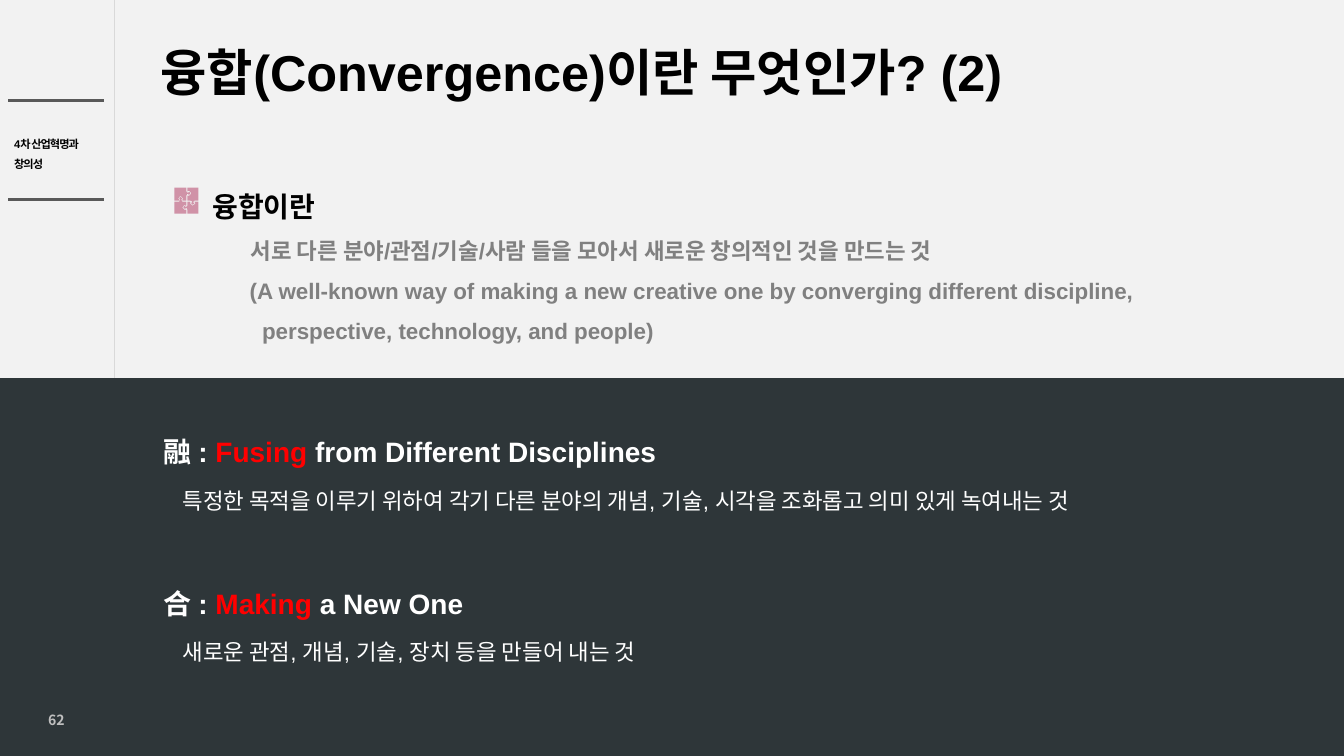
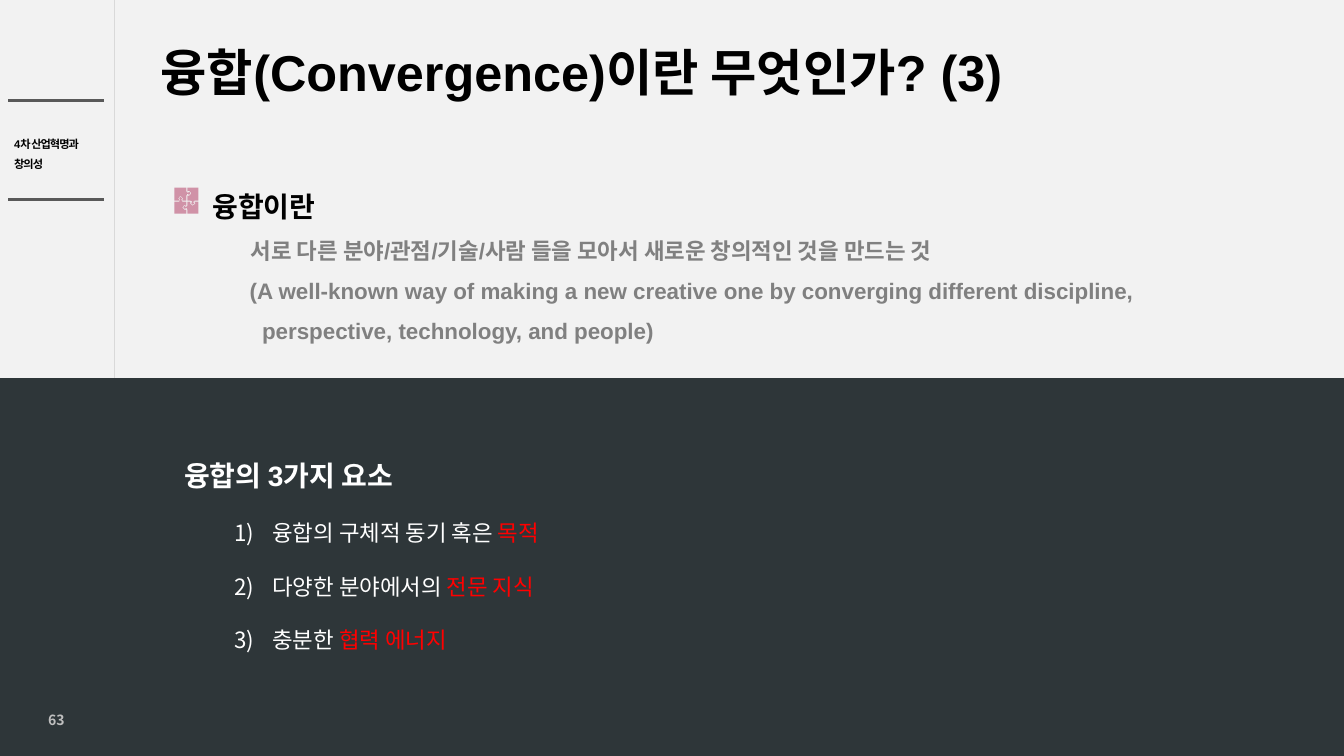
from dataclasses import dataclass

from lxml import etree
from pptx import Presentation
from pptx.dml.color import RGBColor
from pptx.enum.shapes import MSO_CONNECTOR as Connector, MSO_SHAPE as Preset
from pptx.enum.text import MSO_ANCHOR as Anchor, MSO_AUTO_SIZE as AutoSize, PP_ALIGN as Align
from pptx.oxml.ns import qn
from pptx.util import Pt


@dataclass(frozen=True)
class Theme:
    """Colours, fonts and type sizes of the deck."""
    paper: str = "F2F2F2"
    panel: str = "2E3639"
    ink: str = "000000"
    white: str = "FFFFFF"
    accent: str = "FF0000"
    muted: str = "808080"
    number: str = "BFBFBF"
    rule: str = "595959"
    hairline: str = "D9D9D9"
    puzzle: str = "D092A7"
    latin: str = "Arial"
    korean: str = "Noto Sans CJK KR"
    title: int = 36
    heading: int = 20
    body: int = 16
    page: int = 10
    label: int = 8


THEME = Theme()
WIDTH, HEIGHT = 960, 540
PANEL_TOP = HEIGHT / 2

PUZZLE_PIECES = (
    ((13, 0), (24, 0), (24, 13), (20, 13), (19, 14), (19, 15), (20, 16), (18, 17), (17, 16),
     (17, 15), (18, 14), (16, 13), (13, 13), (13, 8), (15, 8), (17, 6), (15, 3), (13, 4)),
    ((5, 13), (5, 12), (4, 11), (6, 8), (9, 11), (8, 12), (8, 13), (12, 13), (12, 8), (13, 6),
     (14, 7), (15, 7), (16, 6), (15, 4), (14, 5), (13, 5), (12, 4), (12, 0), (0, 0), (0, 13)),
    ((12, 22), (10, 22), (8, 20), (10, 17), (11, 18), (12, 18), (12, 14), (8, 14), (7, 12),
     (8, 11), (6, 9), (5, 11), (6, 12), (5, 14), (0, 14), (0, 26), (12, 26)),
    ((20, 14), (21, 16), (18, 18), (16, 16), (16, 14), (13, 14), (13, 18), (12, 19), (11, 19),
     (10, 18), (9, 20), (10, 21), (11, 21), (12, 20), (13, 22), (13, 26), (24, 26), (24, 14)),
)


def color(value):
    """Turn a hex string into a colour."""
    return RGBColor.from_string(value)


def add_run(paragraph, text, size, fill, bold=True, latin=THEME.latin, tracking=None):
    """Append one formatted run to a paragraph."""
    run = paragraph.add_run()
    run.text = text
    font = run.font
    font.name, font.size, font.bold = latin, Pt(size), bold
    font.color.rgb = color(fill)
    properties = font._element
    east_asian = etree.Element(qn("a:ea"), typeface=THEME.korean)
    properties.find(qn("a:latin")).addnext(east_asian)
    if tracking is not None:
        properties.set("spc", str(round(tracking * 100)))


def add_paragraph(frame, *runs, size, fill=THEME.white, spacing=1, before=0, indent=0,
                  numbered=False, align=Align.LEFT, **run_format):
    """Write a paragraph from strings or (string, colour) pairs."""
    first = frame.paragraphs[0]
    paragraph = frame.add_paragraph() if first.runs else first
    paragraph.alignment = align
    paragraph.line_spacing = spacing
    paragraph.space_before = Pt(before)
    properties = paragraph._p.get_or_add_pPr()
    properties.set("marL", str(Pt(indent)))
    if numbered:
        paragraph.level = 1
        properties.set("indent", str(-Pt(27)))
        etree.SubElement(properties, qn("a:buFont"), typeface=THEME.korean)
        etree.SubElement(properties, qn("a:buAutoNum"), type="arabicParenR")
    for run in runs:
        text, run_fill = (run, fill) if isinstance(run, str) else run
        add_run(paragraph, text, size, run_fill, **run_format)


def add_text_box(slide, left, top, width, height, anchor=Anchor.TOP):
    """Add a wrapping text box and return its frame."""
    frame = slide.shapes.add_textbox(Pt(left), Pt(top), Pt(width), Pt(height)).text_frame
    frame.word_wrap = True
    frame.vertical_anchor = anchor
    return frame


def add_line(slide, start, end, fill, weight):
    """Draw a straight line without shadow."""
    line = slide.shapes.add_connector(Connector.STRAIGHT, *map(Pt, start + end))
    line.line.color.rgb = color(fill)
    line.line.width = Pt(weight)
    etree.SubElement(line._element.spPr, qn("a:effectLst"))


def paint(shape, fill):
    """Give a shape a plain fill with no outline or shadow."""
    shape.shadow.inherit = False
    shape.fill.solid()
    shape.fill.fore_color.rgb = color(fill)
    shape.line.fill.background()


def add_puzzle(slide, left, top):
    """Draw the four-piece puzzle marker."""
    first, *others = PUZZLE_PIECES
    builder = slide.shapes.build_freeform(*first[0], scale=Pt(0.72))
    builder.add_line_segments(first[1:])
    for piece in others:
        builder.move_to(*piece[0])
        builder.add_line_segments(piece[1:])
    paint(builder.convert_to_shape(Pt(left), Pt(top)), THEME.puzzle)


def add_title(slide, text):
    """Place and format the title placeholder."""
    title = slide.shapes.title
    title.left, title.top, title.width, title.height = map(Pt, (107.5, 21, 756.5, 60))
    frame = title.text_frame
    frame.auto_size = AutoSize.NONE
    frame.vertical_anchor = Anchor.MIDDLE
    add_paragraph(frame, text, size=THEME.title, fill=THEME.ink)


def add_frame(slide, number):
    """Draw the side label, rules, dark panel and page number."""
    label = add_text_box(slide, 3, 75, 75, 65, Anchor.MIDDLE)
    for text in ("4차 산업혁명과", "창의성"):
        add_paragraph(label, text, size=THEME.label, fill=THEME.ink, spacing=1.5,
                      align=Align.JUSTIFY, tracking=-0.7)
    add_line(slide, (82, 0), (82, HEIGHT), THEME.hairline, 0.75)
    for y in (72, 142.5):
        add_line(slide, (6, y), (74, y), THEME.rule, 2)
    panel = slide.shapes.add_shape(Preset.RECTANGLE, 0, Pt(PANEL_TOP), Pt(WIDTH), Pt(PANEL_TOP))
    paint(panel, THEME.panel)
    page = add_text_box(slide, 21.5, 500, 37.5, 28.5, Anchor.MIDDLE)
    add_paragraph(page, str(number), size=THEME.page, fill=THEME.number, align=Align.CENTER,
                  latin=THEME.korean)


def add_definition(slide):
    """Write the definition above the panel."""
    add_puzzle(slide, 124.5, 134)
    frame = add_text_box(slide, 144.5, 120, 774, 138)
    add_paragraph(frame, "융합이란", size=THEME.heading, fill=THEME.ink, spacing=1.5)
    lines = (
        ("서로 다른 분야/관점/기술/사람 들을 모아서 새로운 창의적인 것을 만드는 것", 27.5),
        ("(A well-known way of making a new creative one by converging different discipline,", 26.7),
        ("perspective, technology, and people)", 35.6),
    )
    for text, indent in lines:
        add_paragraph(frame, text, size=THEME.body, fill=THEME.muted, spacing=1.5, indent=indent)


def add_meanings(slide):
    """Explain the two characters of the term."""
    frame = add_text_box(slide, 110, 290, 800, 193)
    meanings = (
        ("融 : ", "Fusing", " from Different Disciplines",
         "특정한 목적을 이루기 위하여 각기 다른 분야의 개념, 기술, 시각을 조화롭고 의미 있게 녹여내는 것"),
        ("合 : ", "Making", " a New One", "새로운 관점, 개념, 기술, 장치 등을 만들어 내는 것"),
    )
    for index, (character, verb, rest, explanation) in enumerate(meanings):
        add_paragraph(frame, character, (verb, THEME.accent), rest, size=THEME.heading,
                      spacing=1.7, before=35 * index)
        add_paragraph(frame, explanation, size=THEME.body, spacing=1.7, indent=13.3, bold=False)


def add_elements(slide):
    """List the three elements of convergence."""
    frame = add_text_box(slide, 124.5, 300, 775, 172)
    add_paragraph(frame, "융합의 3가지 요소", size=THEME.heading, spacing=2)
    elements = (("융합의 구체적 동기 혹은 ", "목적"), ("다양한 분야에서의 ", "전문 지식"),
                ("충분한 ", "협력 에너지"))
    for text, key in elements:
        add_paragraph(frame, text, (key, THEME.accent), size=THEME.body, spacing=2, indent=63,
                      numbered=True, bold=False)


def main():
    """Build and save the deck."""
    presentation = Presentation()
    presentation.slide_width, presentation.slide_height = Pt(WIDTH), Pt(HEIGHT)
    background = presentation.slide_master.background.fill
    background.solid()
    background.fore_color.rgb = color(THEME.paper)
    title_only = presentation.slide_layouts.get_by_name("Title Only")
    for part, (number, add_content) in enumerate(((62, add_meanings), (63, add_elements)), 2):
        slide = presentation.slides.add_slide(title_only)
        add_frame(slide, number)
        add_title(slide, f"융합(Convergence)이란 무엇인가? ({part})")
        add_definition(slide)
        add_content(slide)
    presentation.save("out.pptx")


if __name__ == "__main__":
    main()
